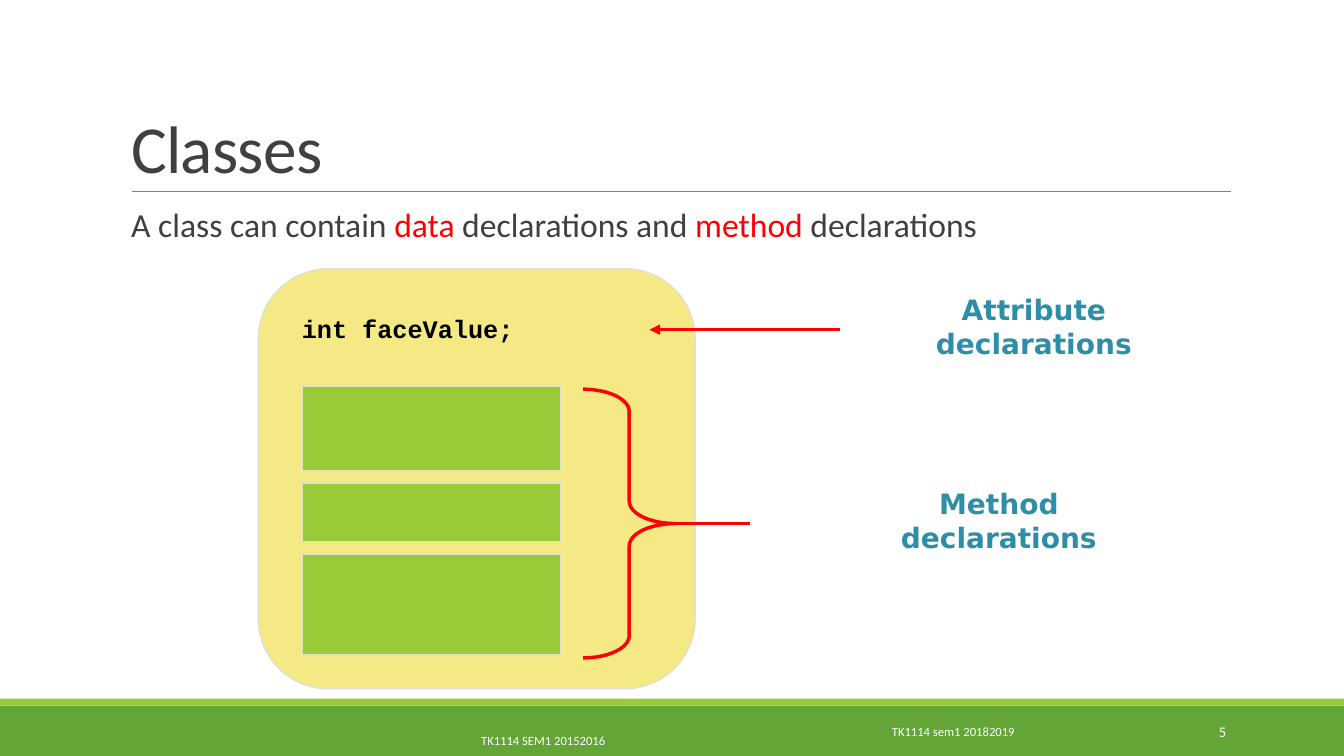
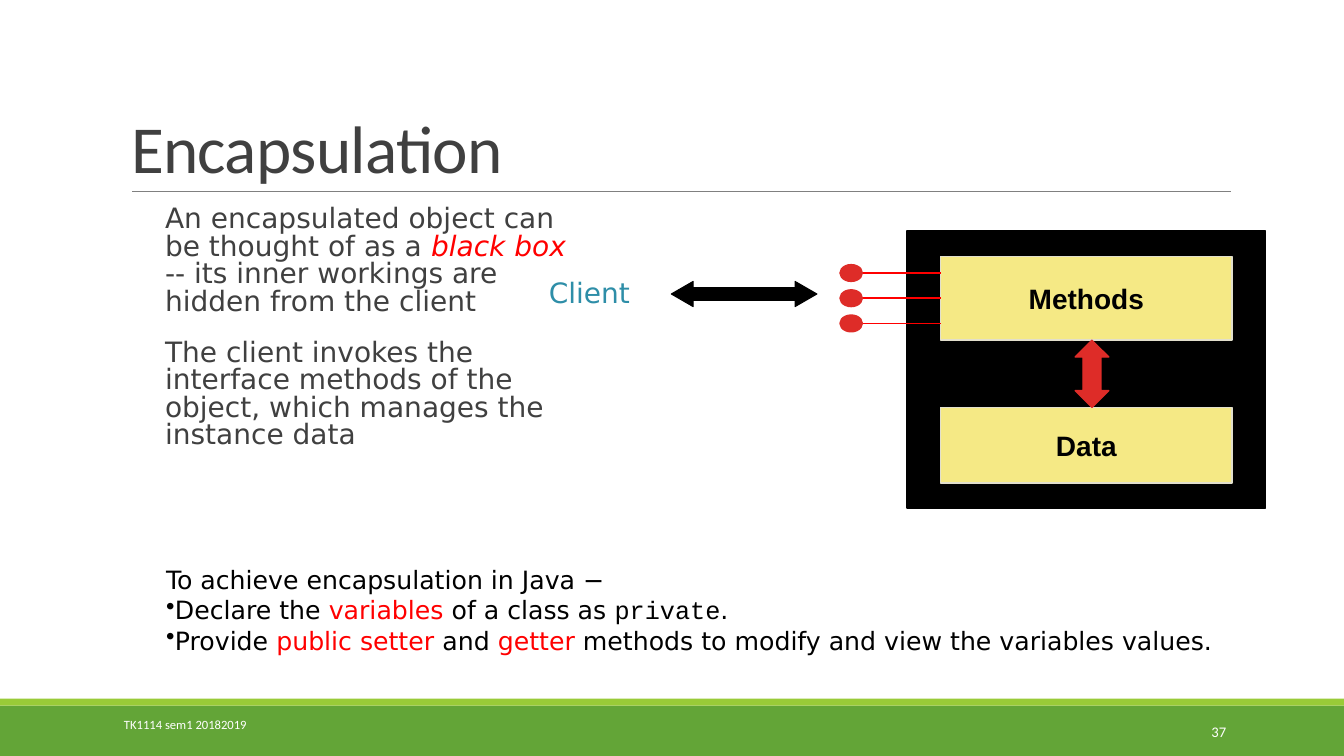
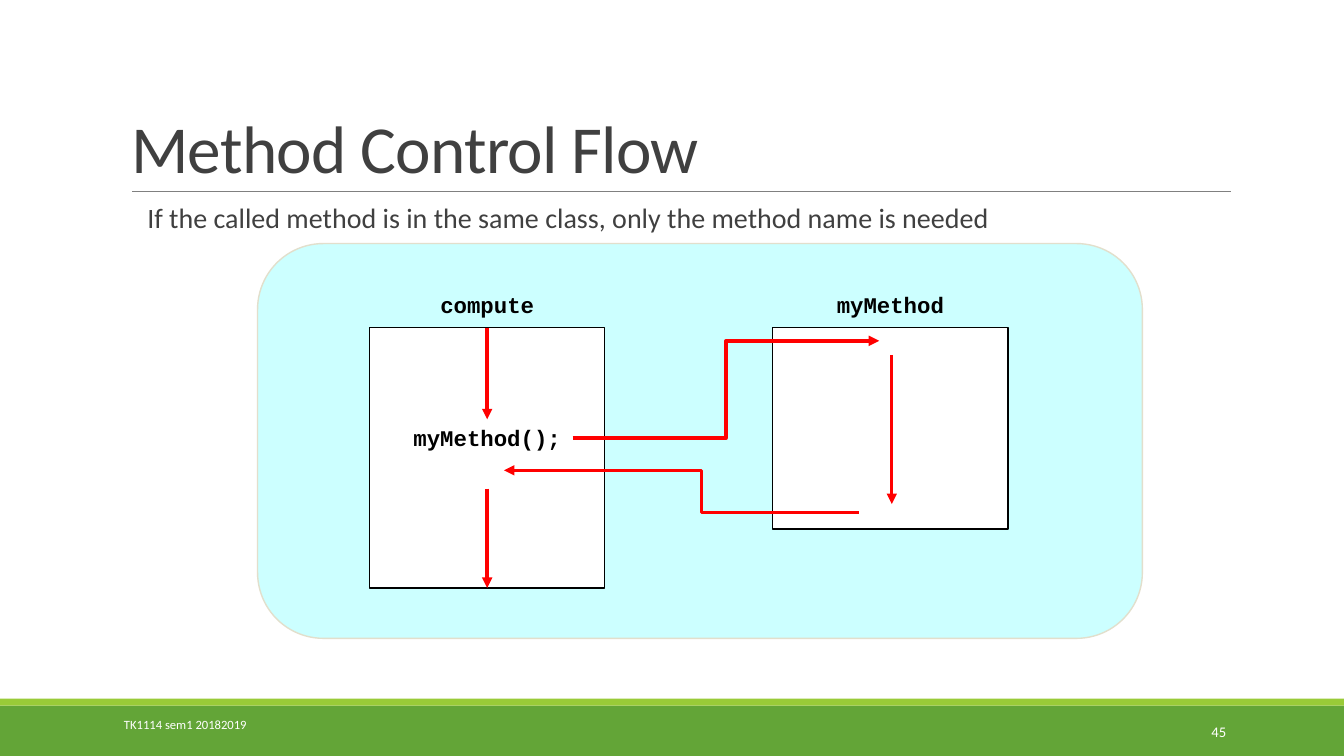
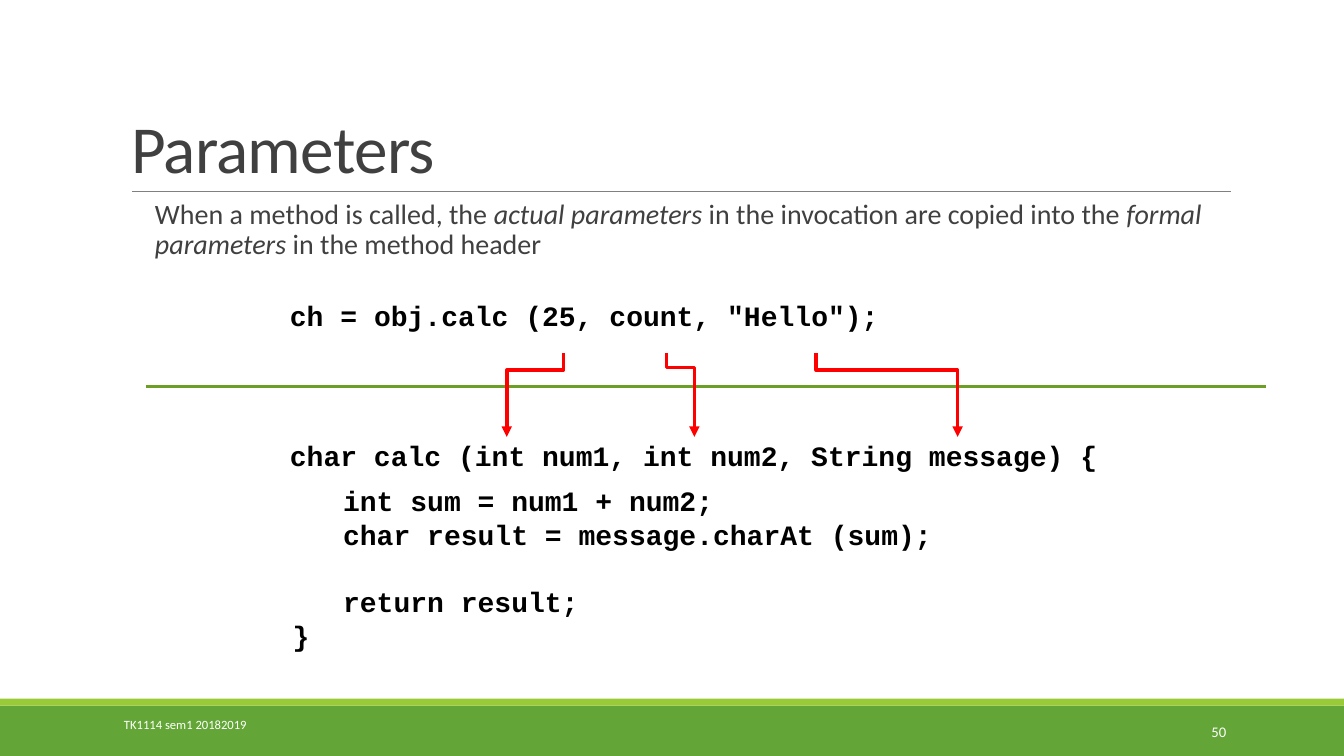
"""Four lecture slides on classes, encapsulation and methods."""
from lxml import etree
from pptx import Presentation
from pptx.dml.color import RGBColor
from pptx.enum.shapes import MSO_CONNECTOR, MSO_SHAPE
from pptx.enum.text import MSO_ANCHOR, MSO_AUTO_SIZE, PP_ALIGN
from pptx.oxml.ns import qn
from pptx.util import Pt

RECT, OVAL = MSO_SHAPE.RECTANGLE, MSO_SHAPE.OVAL
ROUND = MSO_SHAPE.FLOWCHART_ALTERNATE_PROCESS
BRACE = MSO_SHAPE.RIGHT_BRACE
TALL, WIDE = MSO_SHAPE.UP_DOWN_ARROW, MSO_SHAPE.LEFT_RIGHT_ARROW
LINE, ELBOW = MSO_CONNECTOR.STRAIGHT, MSO_CONNECTOR.ELBOW
LEFT, MID, RIGHT = PP_ALIGN.LEFT, PP_ALIGN.CENTER, PP_ALIGN.RIGHT
FULL = PP_ALIGN.JUSTIFY
TOP, CORE, BASE = MSO_ANCHOR.TOP, MSO_ANCHOR.MIDDLE, MSO_ANCHOR.BOTTOM
FIXED = MSO_AUTO_SIZE.NONE

HUES = {
    "green": "63A537", "lime": "99CB38", "moss": "6B9F25", "rule": "808080",
    "text": "404040", "red": "FF0000", "brick": "DE2C28", "teal": "2E8EA8",
    "sand": "F5E985", "edge": "E2DFCC", "sky": "CCFFFF",
    "black": "000000", "white": "FFFFFF",
}
SANS, MONO, PLAIN, HEAD = "DejaVu Sans", "Courier New", "Arial", "Calibri"
RED = {"color": "red"}
SLANT = {"italic": True}
TERM = "TK1114 sem1 20182019"
FOOT = (81.5, 502.5, 368, 30)


def hue(name):
    """Return the named colour."""
    return RGBColor.from_string(HUES[name])


def place(shape, box):
    """Move and size a shape to a box in points."""
    shape.left, shape.top, shape.width, shape.height = map(Pt, box)


def write(frame, paras, size, face=HEAD, color="text", bold=False,
          align=LEFT, lead=None):
    """Fill a text frame run by run."""
    for num, runs in enumerate(paras):
        para = frame.paragraphs[0] if num == 0 else frame.add_paragraph()
        para.alignment = align
        para.line_spacing = lead
        for item in runs:
            text, more = (item, {}) if isinstance(item, str) else item
            look = {"face": face, "color": color, "italic": False, **more}
            run = para.add_run()
            run.text = text
            run.font.size = Pt(size)
            run.font.name = look["face"]
            run.font.bold = bold
            run.font.italic = look["italic"]
            run.font.color.rgb = hue(look["color"])


def mark(para, left=0, char=None):
    """Set the indent and the bullet of a paragraph."""
    props = para._p.get_or_add_pPr()
    props.set("marL", str(Pt(left)))
    props.set("indent", "0")
    if char:
        etree.SubElement(props, qn("a:buChar")).set("char", char)
    else:
        etree.SubElement(props, qn("a:buNone"))


def label(slide, box, text, size, wrap=False, anchor=CORE, **look):
    """Add a text box of one or more paragraphs and return its frame."""
    frame = slide.shapes.add_textbox(*map(Pt, box)).text_frame
    frame.word_wrap = wrap
    frame.vertical_anchor = anchor
    write(frame, [[text]] if isinstance(text, str) else text, size, **look)
    return frame


def block(slide, kind, box, fill, edge, width=1, adjust=()):
    """Add a preset shape with a fill and an outline."""
    shape = slide.shapes.add_shape(kind, *map(Pt, box))
    shape.shadow.inherit = False
    if fill:
        shape.fill.solid()
        shape.fill.fore_color.rgb = hue(fill)
    else:
        shape.fill.background()
    if edge:
        shape.line.color.rgb = hue(edge)
        shape.line.width = Pt(width)
    else:
        shape.line.fill.background()
    for num, value in enumerate(adjust):
        shape.adjustments[num] = value
    return shape


def link(slide, start, end, color="red", width=2.5, head=False, kind=LINE):
    """Add a connector between two points."""
    line = slide.shapes.add_connector(kind, *map(Pt, (*start, *end)))
    line.line.color.rgb = hue(color)
    line.line.width = Pt(width)
    props = line.element.spPr
    if head:
        tail = etree.SubElement(props.find(qn("a:ln")), qn("a:tailEnd"))
        tail.set("type", "triangle")
    etree.SubElement(props, qn("a:effectLst"))
    return line


def elbow(slide, start, end, bend=0.5, down=False):
    """Add a bent arrow that leaves sideways, or downwards if asked."""
    if down:
        (x1, y1), (x2, y2) = start, end
        cx, cy = (x1 + x2) / 2, (y1 + y2) / 2
        dx, dy = (x2 - x1) / 2, (y2 - y1) / 2
        start, end = (cx - dy, cy + dx), (cx + dy, cy - dx)
    line = link(slide, start, end, head=True, kind=ELBOW)
    props = line.element.spPr
    if down:
        props.find(qn("a:xfrm")).set("rot", "5400000")
    form = props.find(qn("a:prstGeom"))
    vals = form.find(qn("a:avLst"))
    if vals is None:
        vals = etree.SubElement(form, qn("a:avLst"))
    guide = etree.SubElement(vals, qn("a:gd"))
    guide.set("name", "adj1")
    guide.set("fmla", f"val {round(bend * 100000)}")


def theme(layout, slide):
    """Put the bands, the rule and the title place on the layout."""
    for hold in list(layout.placeholders):
        if hold.placeholder_format.idx >= 10:
            hold.element.getparent().remove(hold.element)
    place(layout.placeholders[0], (86.5, 22.5, 792, 114.5))
    parts = [
        block(slide, RECT, (0, 504, 960, 36), "green", None),
        block(slide, RECT, (0, 499, 960, 5), "lime", None),
        link(slide, (94.5, 137), (879, 137), "rule", 0.5),
    ]
    for part in parts:
        layout.shapes.element.append(part.element)


def header(slide, title, box, paras, size, **look):
    """Fill the title and the body and return the body frame."""
    frame = slide.shapes.title.text_frame
    frame.auto_size = FIXED
    frame.vertical_anchor = BASE
    write(frame, [[title]], 48, lead=0.85)
    for run in frame.paragraphs[0].runs:
        run.font._element.set("spc", "-50")
    body = slide.placeholders[1]
    place(body, box)
    frame = body.text_frame
    frame.auto_size = FIXED
    frame.vertical_anchor = TOP
    frame.margin_left = frame.margin_right = Pt(0)
    write(frame, paras, size, **{"lead": 0.9, **look})
    for para in frame.paragraphs:
        para.space_before, para.space_after = Pt(12), Pt(2)
        mark(para, 7.2)
    return frame


def footer(slide, page, box=FOOT):
    """Add the term and the page number."""
    label(slide, box, TERM, 9, wrap=True, color="white")
    label(slide, (780, 508.5, 103, 28.5), page, 10.5, wrap=True,
          color="white", align=RIGHT)


def card(slide, x, y):
    """Draw a class with its attribute and three methods."""
    block(slide, ROUND, (x, y, 312, 300), "sand", "edge")
    top = y + 84
    for tall in (60, 42, 72):
        block(slide, RECT, (x + 31.5, top, 184.5, tall), "lime", "edge")
        top += tall + 9
    label(slide, (x + 24, y + 28, 166, 29), "int faceValue;", 18,
          face=MONO, color="black", bold=True)
    link(slide, (x + 415.5, y + 43.5), (x + 279.5, y + 43.5), head=True)
    block(slide, BRACE, (x + 232, y + 86, 66, 192), None, "red", 2.5,
          (0.242, 0.5))
    link(slide, (x + 351.5, y + 182), (x + 297.5, y + 182))
    for dx, dy, wide, text in ((423, 25.5, 262, "Attribute declarations"),
                               (407, 164, 244, "Method declarations")):
        label(slide, (x + dx, y + dy, wide, 31.5), text, 20, wrap=True,
              face=SANS, color="teal", bold=True, align=MID)


def vault(slide, x, y):
    """Draw the black box with its methods, data and client."""
    block(slide, RECT, (x, y, 256, 198), "black", "black")
    rooms = []
    for dy, tall, text in ((18, 60, "Methods"), (126, 54, "Data")):
        room = block(slide, RECT, (x + 24, y + dy, 208, tall), "sand", "edge")
        room.text_frame.vertical_anchor = CORE
        write(room.text_frame, [[text]], 20, PLAIN, "black", True, MID)
        rooms.append(room)
    for num in range(3):
        cy = y + 30 + 18 * num
        wire = link(slide, (x + 24, cy), (x - 40, cy), width=1)
        if num == 1:
            wire.begin_connect(rooms[0], 1)
        block(slide, OVAL, (x - 48, cy - 6, 16, 12), "brick", "brick")
    block(slide, TALL, (x + 120, y + 78, 24, 48), "brick", "brick",
          adjust=(0.5, 0.533))
    label(slide, (x - 263.5, y + 28, 73, 31.5), "Client", 20,
          face=SANS, color="teal", align=MID)
    block(slide, WIDE, (x - 168.5, y + 36, 104, 18), "black", "black", 0.75,
          (0.5, 0.867))


def steps(slide, box):
    """List the steps to encapsulation."""
    paras = [
        ["To achieve encapsulation in Java −"],
        ["Declare the ", ("variables", RED), " of a class as ",
         ("private", {"face": MONO}), "."],
        ["Provide ", ("public setter ", RED), "and ", ("getter", RED),
         " methods to modify and view the variables values."],
    ]
    frame = label(slide, box, paras, 18, wrap=True, anchor=TOP, face=SANS,
                  color="black", align=FULL, lead=Pt(21.8))
    for para in frame.paragraphs[1:]:
        mark(para, char="•")


def flow(slide, x, y):
    """Draw the control flow between two methods."""
    block(slide, ROUND, (x, y, 632, 282), "sky", "edge")
    look = {"face": MONO, "color": "black", "bold": True, "align": MID}
    boxes = []
    for dx, tall, name in ((80, 186, "compute"), (368, 144, "myMethod")):
        boxes.append(block(slide, RECT, (x + dx, y + 60, 168, tall),
                           "white", "black"))
        label(slide, (x + dx, y + 30, 168, 26.5), name, 16, wrap=True, **look)
    label(slide, (x + 80, y + 125.5, 168, 26.5), "myMethod();", 16,
          wrap=True, **look)
    mid = x + 164
    enter = link(slide, (mid, y + 60), (mid, y + 125.5), head=True)
    enter.begin_connect(boxes[0], 0)
    leave = link(slide, (mid, y + 175), (mid, y + 246), head=True)
    leave.end_connect(boxes[0], 2)
    link(slide, (x + 453, y + 79.5), (x + 453, y + 186), head=True)
    elbow(slide, (x + 225, y + 139), (x + 444, y + 69.5))
    elbow(slide, (x + 429.5, y + 192), (x + 176, y + 162), 0.444)


def code(slide, x, y):
    """Show a call, the method and how its arguments are passed."""
    look = {"anchor": TOP, "face": MONO, "color": "black", "bold": True,
            "lead": Pt(24)}
    label(slide, (x, y, 438.5, 31.5), 'ch = obj.calc (25, count, "Hello");',
          20, **look)
    label(slide, (x, y + 100, 596, 31.5),
          "char calc (int num1, int num2, String message) {", 20, **look)
    paras = [["int sum = num1 + num2;"],
             ["char result = message.charAt (sum);"],
             ["return result;"], ["}"]]
    frame = label(slide, (x + 2, y + 132, 475, 128), paras, 20, **look)
    for para in frame.paragraphs[:3]:
        mark(para, 36)
    frame.paragraphs[2].space_before = Pt(24)
    link(slide, (x - 96, y + 66), (x + 704, y + 66), "moss")
    for here, there, bend in ((202.5, 162, 0.206), (276, 296, 0.173),
                              (383, 484, 0.206)):
        elbow(slide, (x + here, y + 42), (x + there, y + 102), bend, True)


def classes(slide):
    """Build the slide on classes."""
    header(slide, "Classes", (86.5, 145.5, 792, 317),
           [["A class can contain ", ("data", RED), " declarations and ",
             ("method", RED), " declarations"]], 24)
    card(slide, 184.5, 192)
    footer(slide, "5", (630, 512.5, 289.5, 19.5))
    label(slide, (106, 520, 564, 18.5), "TK1114 SEM1 20152016", 9, wrap=True,
          color="white", align=MID)


def capsule(slide):
    """Build the slide on encapsulation."""
    frame = header(
        slide, "Encapsulation", (103.5, 144, 312, 191),
        [["An encapsulated object can be thought of as a ",
          ("black box ", {**RED, **SLANT}),
          "-- its inner workings are hidden from the client"],
         ["The client invokes the interface methods of the object, "
          "which manages the instance data"]], 20, face=SANS, lead=0.82)
    frame.margin_left = frame.margin_right = Pt(7.2)
    frame.paragraphs[1].space_before = Pt(14.5)
    vault(slide, 648, 165)
    steps(slide, (111.5, 399, 782, 73))
    footer(slide, "37")


def control(slide):
    """Build the slide on method control flow."""
    header(slide, "Method Control Flow", (98, 142.5, 840, 62),
           [["If the called method is in the same class, "
             "only the method name is needed"]], 20)
    flow(slide, 184, 174)
    footer(slide, "45")


def params(slide):
    """Build the slide on parameters."""
    header(slide, "Parameters", (103.5, 139.5, 832, 96),
           [["When a method is called, the ", ("actual parameters", SLANT),
             " in the invocation are copied into the ",
             ("formal parameters", SLANT), " in the method header"]], 20)
    code(slide, 200, 210)
    footer(slide, "50")


def main():
    """Build and save the slides."""
    deck = Presentation()
    deck.slide_width, deck.slide_height = Pt(960), Pt(540)
    layout = deck.slide_layouts[1]
    for num, build in enumerate((classes, capsule, control, params)):
        slide = deck.slides.add_slide(layout)
        if num == 0:
            theme(layout, slide)
        build(slide)
    deck.save("out.pptx")


if __name__ == "__main__":
    main()
